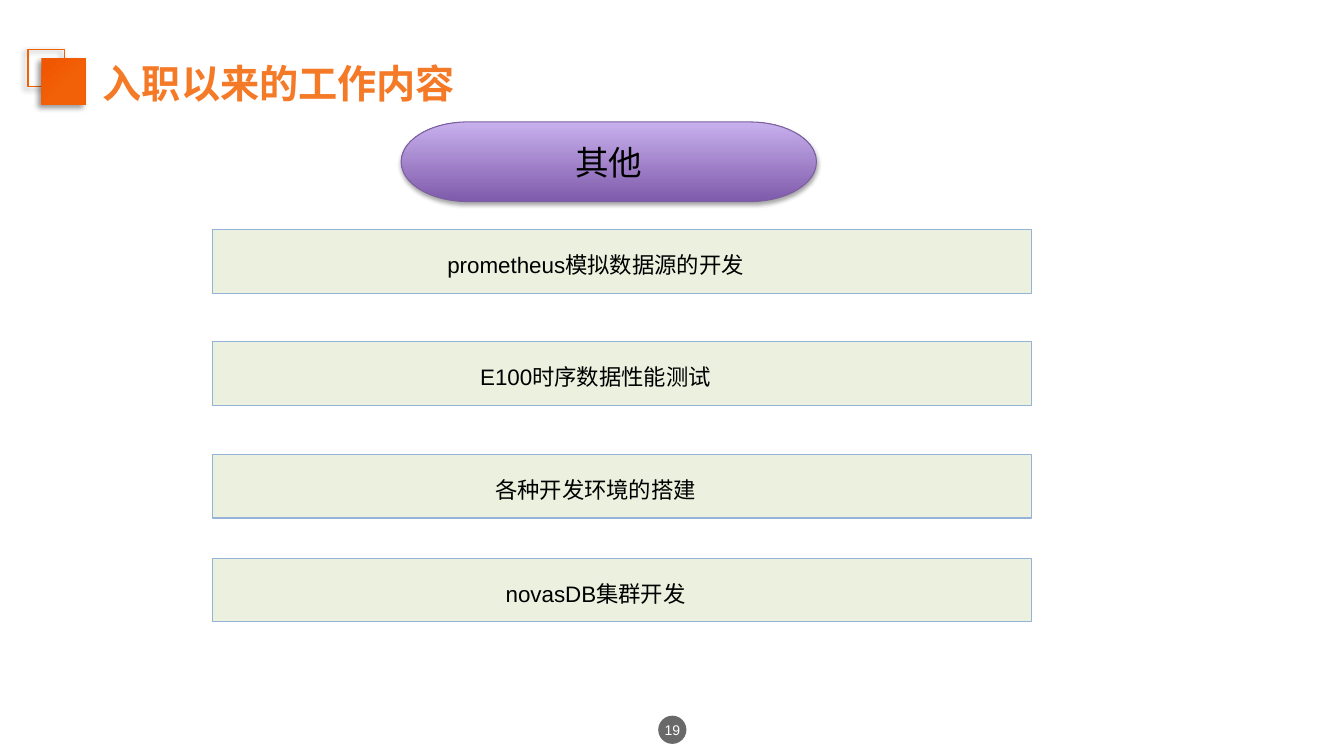
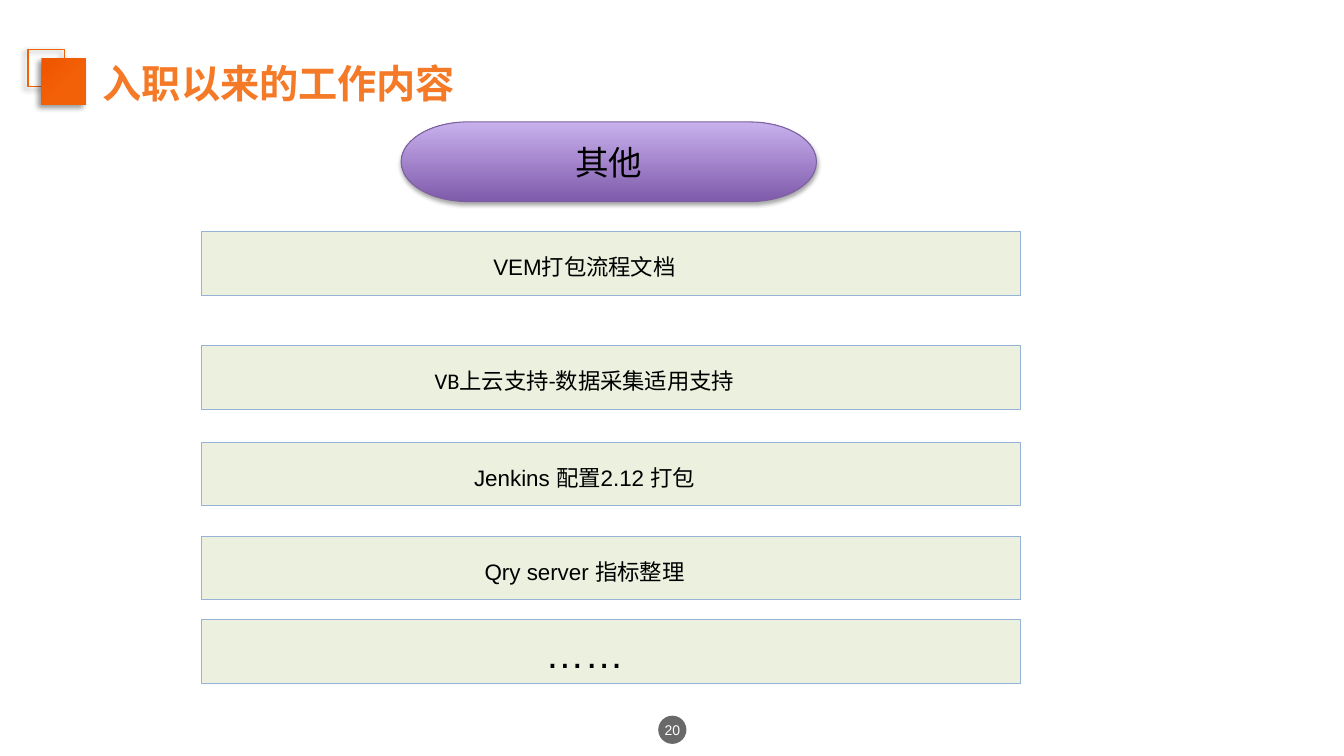
from lxml import etree
from pptx import Presentation
from pptx.dml.color import RGBColor
from pptx.enum.shapes import MSO_SHAPE
from pptx.enum.text import MSO_ANCHOR, MSO_AUTO_SIZE, PP_ALIGN
from pptx.oxml.ns import qn
from pptx.util import Inches, Pt

RECT, OVAL, PILL = MSO_SHAPE.RECTANGLE, MSO_SHAPE.OVAL, MSO_SHAPE.FLOWCHART_TERMINATOR
TOP, MIDDLE = MSO_ANCHOR.TOP, MSO_ANCHOR.MIDDLE
LEFT, CENTER = PP_ALIGN.LEFT, PP_ALIGN.CENTER

# Grid of 160 columns by 90 rows
CELL = Inches(1) / 12
COLS, ROWS = 160, 90

HUES = {
    "title": "F57A27", "edge": "F26008", "deep": "F05500",
    "dark": "7F5BAB", "light": "C8B0ED", "rim": "7D60A0",
    "bar": "EBF1DE", "line": "95B3D7",
    "badge": "696969", "text": "000000", "white": "FFFFFF",
}
COLOR = {name: RGBColor.from_string(code) for name, code in HUES.items()}
HAN = "Noto Sans CJK SC"

# Bars: left column, then (row, text, font, size, top inset)
PAGES = {
    19: (25.32, [
        (27.36, "prometheus模拟数据源的开发", "Arial", 16, 1.92),
        (40.68, "E100时序数据性能测试", "Arial", 16, 1.92),
        (54.12, "各种开发环境的搭建", "Arial", 16, 1.92),
        (66.48, "novasDB集群开发", "Arial", 16, 1.92),
    ]),
    20: (24, [
        (27.6, "VEM打包流程文档", "Arial", 16, 1.92),
        (41.16, "VB上云支持-数据采集适用支持", "Calibri", 16, 1.92),
        (52.68, "Jenkins 配置2.12 打包", "Arial", 16, 1.92),
        (63.84, "Qry server 指标整理", "Arial", 16, 1.92),
        (73.8, "……", "Arial", 28, 0),
    ]),
}


def draw(slide, kind, box, fill=None, line=None, width=0.75, angle=0, shade=None):
    """Add a shape; fill is a colour name or two (position, name) stops."""
    shape = slide.shapes.add_shape(kind, *[round(n * CELL) for n in box])
    shape.shadow.inherit = False
    if fill is None:
        shape.fill.background()
    elif isinstance(fill, str):
        shape.fill.solid()
        shape.fill.fore_color.rgb = COLOR[fill]
    else:
        shape.fill.gradient()
        shape.fill.gradient_angle = angle
        for stop, (place, name) in zip(shape.fill.gradient_stops, fill):
            stop.position = place
            stop.color.rgb = COLOR[name]
    if line:
        shape.line.color.rgb = COLOR[line]
        shape.line.width = Pt(width)
    else:
        shape.line.fill.background()
    if shade:
        alpha, blur, dist, turn = shade
        glow = etree.SubElement(
            shape._element.spPr.find(qn("a:effectLst")), qn("a:outerShdw"),
            blurRad=str(Pt(blur)), dist=str(Pt(dist)),
            dir=str(turn * 60000), algn="ctr", rotWithShape="0")
        tint = etree.SubElement(glow, qn("a:srgbClr"), val=HUES["text"])
        etree.SubElement(tint, qn("a:alpha"), val=str(alpha * 1000))
    return shape


def write(shape, text, font, size, hue, anchor=MIDDLE, align=CENTER, bold=False):
    """Fill a shape's frame with one paragraph and return both."""
    frame = shape.text_frame
    frame.word_wrap = True
    frame.auto_size = MSO_AUTO_SIZE.NONE
    frame.vertical_anchor = anchor
    para = frame.paragraphs[0]
    para.text = text
    para.alignment = align
    para.font.size = Pt(size)
    para.font.bold = bold
    para.font.color.rgb = COLOR[hue]
    para.font.name = font
    props = para._p.pPr.find(qn("a:defRPr"))
    etree.SubElement(props, qn("a:ea"), typeface=HAN)
    return frame, para


deck = Presentation()
deck.slide_width = round(COLS * CELL)
deck.slide_height = round(ROWS * CELL)
soft = (40, 4, 3, 135)

for page, (left, bars) in PAGES.items():
    slide = deck.slides.add_slide(deck.slide_layouts[5])

    # Page number
    badge = draw(slide, OVAL, (78.36, 85.2, 3.36, 3.36), "badge")
    frame, para = write(badge, str(page), "Arial", 10, "white")
    frame.margin_left = frame.margin_right = 0
    frame.margin_top = frame.margin_bottom = 0

    # Title with its two squares
    draw(slide, RECT, (3.36, 5.88, 4.32, 4.44), line="edge", width=1, shade=soft)
    draw(slide, RECT, (4.92, 6.96, 5.28, 5.52),
         [(0.03, "deep"), (0.59, "edge")], angle=315, shade=soft)
    title = slide.shapes.title
    title.left, title.top = round(11.04 * CELL), round(6.48 * CELL)
    title.width, title.height = round(86.28 * CELL), round(6.84 * CELL)
    write(title, "入职以来的工作内容", HAN, 28, "title", TOP, LEFT, True)

    # Topic pill
    pill = draw(slide, PILL, (47.76, 14.52, 49.44, 9.48),
                [(0, "dark"), (1, "light")], "rim", angle=90,
                shade=(35, 3.1, 1.8, 90))
    write(pill, "其他", HAN, 24, "text")

    # Work items
    for row, text, font, size, inset in bars:
        bar = draw(slide, RECT, (left, row, 97.44, 7.56), "bar", "line")
        frame, para = write(bar, text, font, size, "text", TOP)
        frame.margin_top = round(inset * CELL)
        frame.margin_bottom = 0
        frame.margin_right = round(7.44 * CELL)
        para.line_spacing = 1.2

deck.save("out.pptx")
